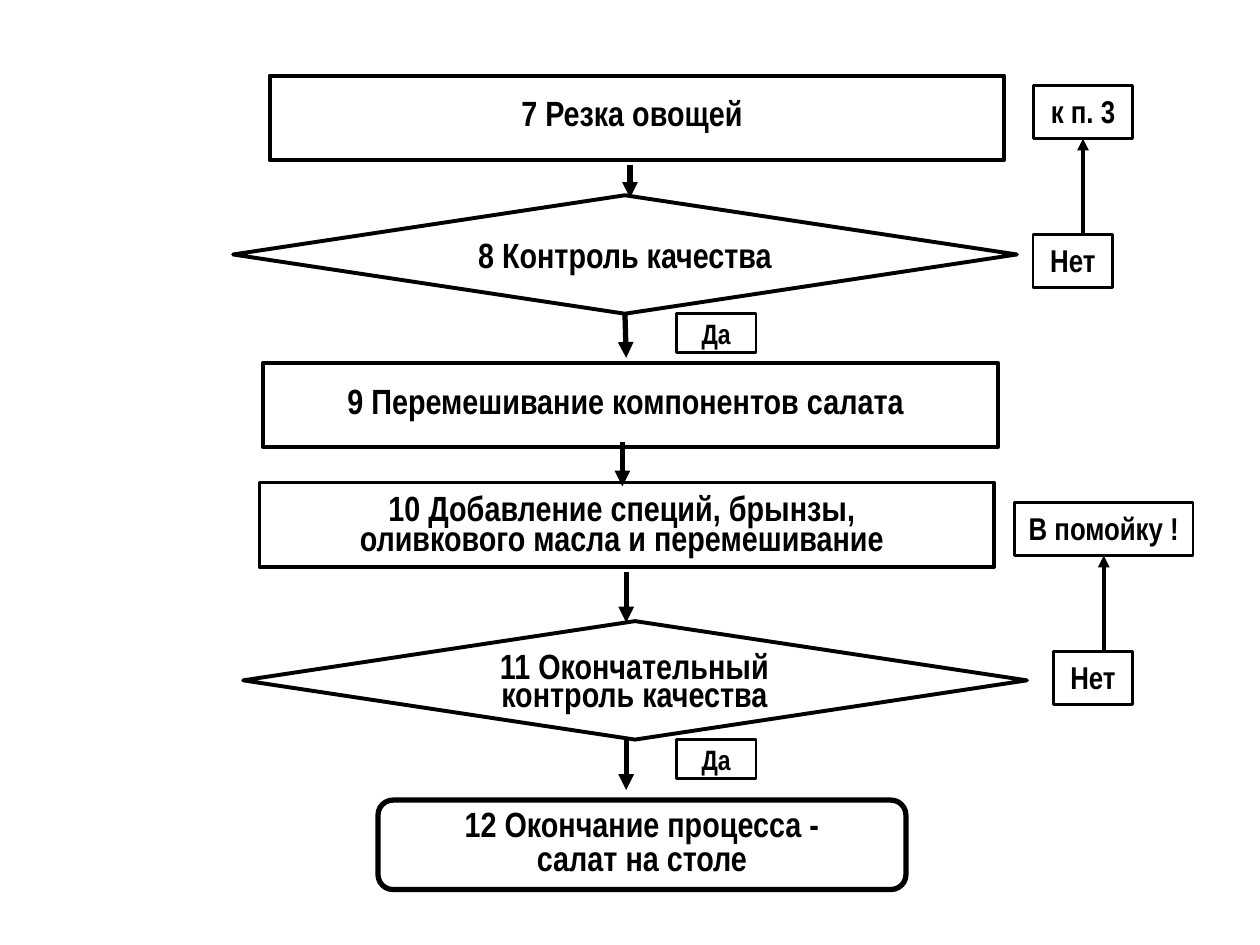
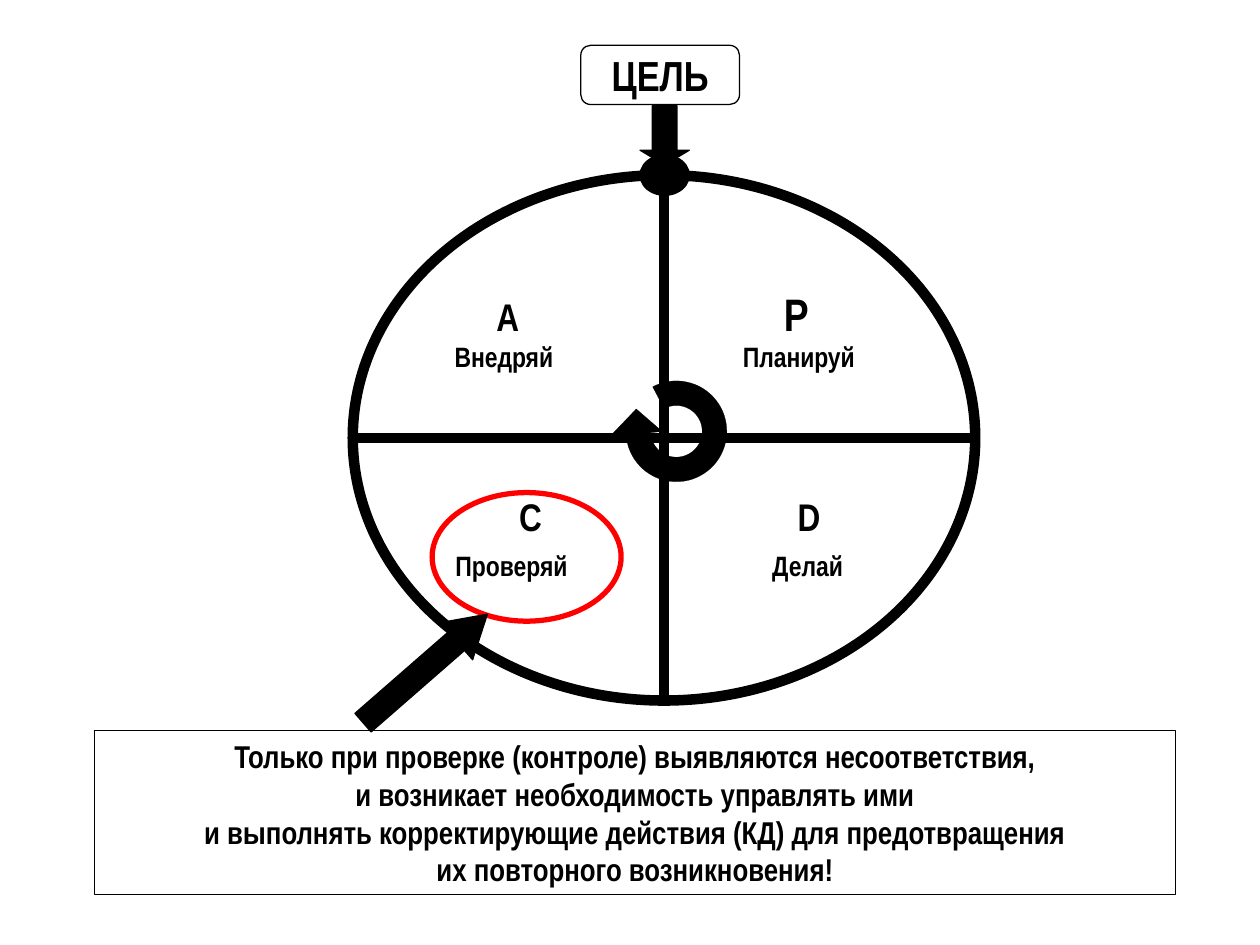
import math
from dataclasses import dataclass

from lxml import etree
from pptx import Presentation
from pptx import util as u
from pptx.dml.color import RGBColor
from pptx.enum import shapes, text
from pptx.oxml import ns

COLORS = {"ink": "000000", "paper": "FFFFFF", "alert": "FF0000"}
FONT = "Arial Narrow"
COLUMNS, ROWS = 100, 75
SLIDE_W, SLIDE_H = u.Inches(10), u.Inches(7.5)
TOP, MIDDLE = text.MSO_ANCHOR.TOP, text.MSO_ANCHOR.MIDDLE
KIND = shapes.MSO_SHAPE
BOTTOM_SIDE = 2
SPINE = 49.7


def across(columns):
    return u.Emu(round(columns * SLIDE_W / COLUMNS))


def down(rows):
    return u.Emu(round(rows * SLIDE_H / ROWS))


@dataclass
class Box:
    x: float
    y: float
    w: float
    h: float

    def inner(self, dx, dy, w, h):
        return Box(self.x + dx, self.y + dy, w, h)

    @property
    def center(self):
        return self.x + self.w / 2

    @property
    def bottom(self):
        return self.y + self.h

    def emu(self):
        return across(self.x), down(self.y), across(self.w), down(self.h)


def rgb(name):
    return RGBColor.from_string(COLORS[name])


def paint(shape, weight, fill=None, line="ink"):
    shape.shadow.inherit = False
    if fill:
        shape.fill.solid()
        shape.fill.fore_color.rgb = rgb(fill)
    else:
        shape.fill.background()
    shape.line.color.rgb = rgb(line)
    shape.line.width = u.Pt(weight)


def draw(slide, kind, box, weight, fill=None, line="ink", adjustments=()):
    shape = slide.shapes.add_shape(kind, *box.emu())
    for index, value in enumerate(adjustments):
        shape.adjustments[index] = value
    paint(shape, weight, fill, line)
    return shape


def write(shape, lines, size, anchor=TOP, wrap=True, spacing=None):
    frame = shape.text_frame
    frame.word_wrap = wrap
    frame.vertical_anchor = anchor
    for index, line in enumerate(lines):
        paragraph = frame.paragraphs[0] if index == 0 else frame.add_paragraph()
        paragraph.alignment = text.PP_ALIGN.CENTER
        if spacing:
            paragraph.line_spacing = spacing
        run = paragraph.add_run()
        run.text = line
        run.font.name = FONT
        run.font.size = u.Pt(size)
        run.font.bold = True
        run.font.color.rgb = rgb("ink")


def caption(slide, box, lines, size, **style):
    write(slide.shapes.add_textbox(*box.emu()), lines, size, **style)


def arrow(slide, x, start, end, weight=3):
    link = slide.shapes.add_connector(
        shapes.MSO_CONNECTOR.STRAIGHT, across(x), down(start), across(x), down(end))
    link.line.color.rgb = rgb("ink")
    link.line.width = u.Pt(weight)
    properties = link.element.spPr
    outline = properties.find(ns.qn("a:ln"))
    etree.SubElement(outline, ns.qn("a:tailEnd"), type="triangle")
    etree.SubElement(properties, ns.qn("a:effectLst"))
    return link


def step(slide, box, lines, spacing=None):
    draw(slide, KIND.FLOWCHART_PROCESS, box, 2.25)
    caption(slide, box.inner(0.8, 0.8, 55.9, 4.4), lines, 20, spacing=spacing)


def answer(slide, box, word, size, anchor=TOP):
    label = draw(slide, KIND.RECTANGLE, box, 1.5, "paper")
    write(label, [word], size, anchor)
    return label


def decision(slide, box, yes_length):
    diamond = draw(slide, KIND.DIAMOND, box, 2.25)
    yes_arrow = arrow(slide, SPINE, box.bottom, box.bottom + yes_length)
    answer(slide, Box(SPINE + 4, box.bottom, 6.3, 3.1), "Да", 16, MIDDLE)
    return diamond, yes_arrow


def rejection(slide, box, destination, no_offset):
    target_box = box.inner(0, 0, box.w, 4.2)
    no_box = box.inner(no_offset, box.h - 4.2, 6.3, 4.2)
    answer(slide, no_box, "Нет", 18)
    rejected = arrow(slide, box.center, no_box.y, target_box.bottom, 2.25)
    target = answer(slide, target_box, destination, 18)
    rejected.end_connect(target, BOTTOM_SIDE)


def process_flow(slide, box):
    step(slide, box.inner(2.9, 0, 58.3, 6.7), ["7 Резка овощей"])
    step(slide, box.inner(2.4, 22.8, 58.3, 6.7), ["9 Перемешивание компонентов салата"])
    step(slide, box.inner(2.1, 32.3, 58.3, 6.7),
         ["10 Добавление специй, брынзы,", "оливкового масла и перемешивание"], u.Pt(17))

    quality, accepted = decision(slide, box.inner(0, 9.5, 62.2, 9.4), 3.5)
    write(quality, ["8 Контроль качества"], 20, MIDDLE, wrap=False)
    accepted.begin_connect(quality, BOTTOM_SIDE)

    final_box = box.inner(0.8, 43.3, 62.2, 9.4)
    decision(slide, final_box, 4)
    caption(slide, final_box.inner(17.3, 2.4, 27.5, 5.5),
            ["11 Окончательный контроль качества"], 20, anchor=MIDDLE, spacing=u.Pt(16))

    finish = draw(slide, KIND.ROUNDED_RECTANGLE, box.inner(11.5, 57.5, 41.9, 7.1),
                  3, "paper", adjustments=[0.167])
    write(finish, ["12 Окончание процесса -", "салат на столе"], 20, spacing=0.8)

    for x, start, end in ((50, 7.1, 9.7), (49.4, 29.1, 32.6), (SPINE, 39.4, 43.4)):
        arrow(slide, x, box.y + start, box.y + end)


def rotation_arrow(slide, box):
    cx, cy, outer_radius, inner_radius = box.x + 4.7, box.y + 3.95, 4, 2.05
    sweep = [math.radians(angle) for angle in range(-105, 191, 5)]

    def arc(radius, angles):
        return [(cx + radius * math.cos(a), cy + radius * math.sin(a)) for a in angles]

    head = [(box.x - 0.3, box.y + 3), (box.x + 2, box.y + 1.5), (box.x + 3.6, box.y + 3.7)]
    points = [(across(x), down(y))
              for x, y in arc(outer_radius, sweep) + head + arc(inner_radius, reversed(sweep))]
    outline = slide.shapes.build_freeform(*points[0])
    outline.add_line_segments(points[1:], close=True)
    turn = outline.convert_to_shape()
    turn.rotation = 346.9
    paint(turn, 0.11, "ink")


def cycle(slide, box):
    draw(slide, KIND.FLOWCHART_OR, box, 6)
    stages = (
        ("А", 22, 12.3, 11.2, "Внедряй", 12, 14.4),
        ("Р", 26, 35.2, 11.0, "Планируй", 35.4, 14.4),
        ("С", 22, 14.1, 27.1, "Проверяй", 12.6, 31),
        ("D", 22, 36.2, 27.1, "Делай", 36.1, 31),
    )
    for letter, size, letter_x, letter_y, action, action_x, action_y in stages:
        for word, points, x, y in ((letter, size, letter_x, letter_y),
                                   (action, 16, action_x, action_y)):
            caption(slide, box.inner(x - 7, y - 2.5, 14, 5), [word], points, anchor=MIDDLE)
    rotation_arrow(slide, box.inner(21, 16.5, 8.1, 7.9))
    draw(slide, KIND.OVAL, box.inner(6.3, 25.2, 15, 10.2), 3, line="alert")


def goal(slide, box):
    draw(slide, KIND.OVAL, box.inner(4.7, 8.7, 3.9, 3.2), 0.75, "ink")
    target = draw(slide, KIND.ROUNDED_RECTANGLE, box.inner(0, 0, box.w, 4.7),
                  0.75, adjustments=[0.167])
    write(target, ["ЦЕЛЬ"], 24, MIDDLE, wrap=False)
    draw(slide, KIND.DOWN_ARROW, box.inner(4.7, 4.8, 3.9, 4.7), 0.75, "ink",
         adjustments=[0.5, 0.301])


def conclusion(slide, box):
    note = draw(slide, KIND.RECTANGLE, box, 0.75)
    write(note, ["Только при проверке (контроле) выявляются несоответствия,",
                 "и возникает необходимость управлять ими",
                 "и выполнять корректирующие действия (КД) для предотвращения",
                 "их повторного возникновения!"], 18)
    pointer = draw(slide, KIND.RIGHT_ARROW, box.inner(19.7, -6.9, 13.1, 3.9), 0.75, "ink",
                   adjustments=[0.5, 0.835])
    pointer.rotation = 318.9


def main():
    deck = Presentation()
    deck.slide_width, deck.slide_height = SLIDE_W, SLIDE_H
    blank = deck.slide_layouts[6]

    salad = deck.slides.add_slide(blank)
    process_flow(salad, Box(18.5, 6, 63, 64.6))
    rejection(salad, Box(82, 6.8, 7.9, 16), "к п. 3", 0)
    rejection(salad, Box(80.5, 39.9, 14.2, 16), "В помойку !", 3.1)

    improvement = deck.slides.add_slide(blank)
    cycle(improvement, Box(28, 13.9, 49.4, 41.7))
    goal(improvement, Box(46.1, 3.6, 12.6, 11.9))
    conclusion(improvement, Box(7.5, 58, 85.8, 13))

    deck.save("out.pptx")


if __name__ == "__main__":
    main()
